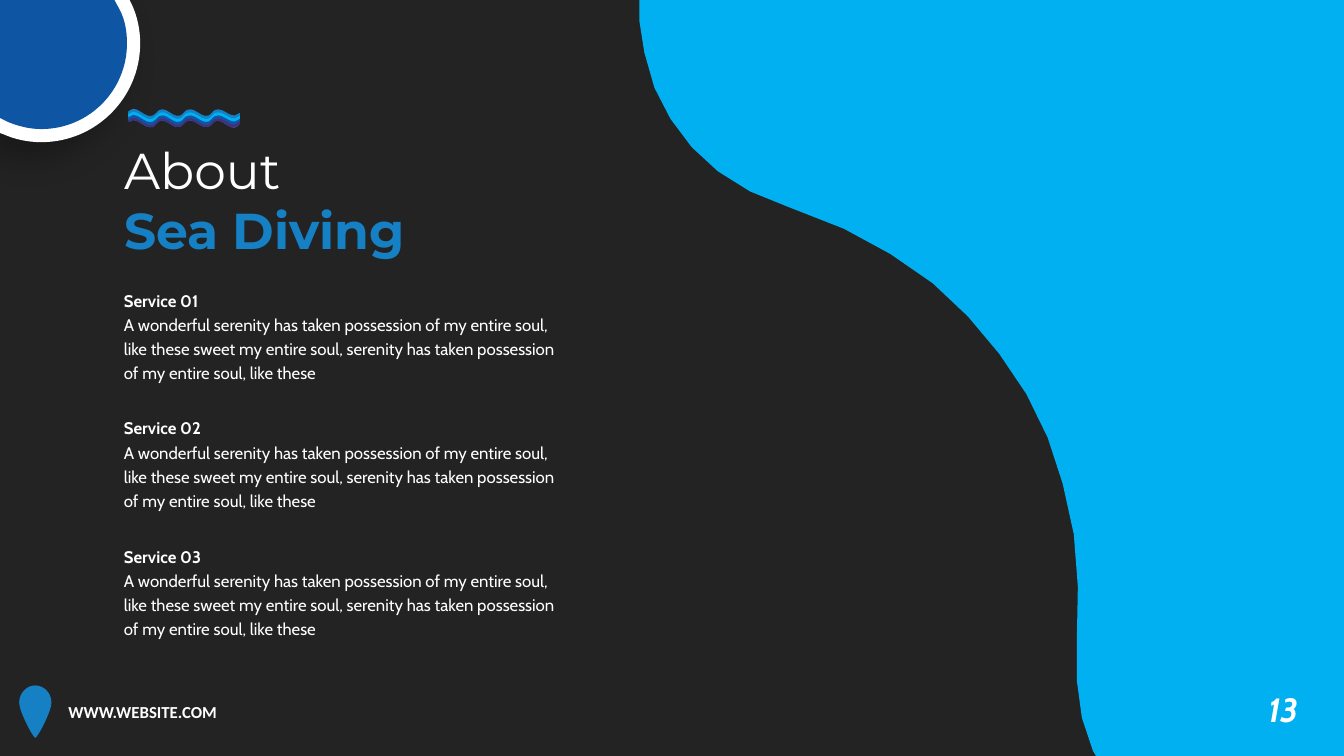
from lxml import etree
from pptx import Presentation
from pptx import util as u
from pptx.dml import color
from pptx.enum import text
from pptx.oxml import ns

PX = 9144
rgb = color.RGBColor.from_string


def outline(shapes, start, segments, fill):
    builder = shapes.build_freeform(start[0] * PX, start[1] * PX, scale=1.0)
    builder.add_line_segments([(s[-2] * PX, s[-1] * PX) for s in segments], close=True)
    shape = builder.convert_to_shape()
    left = min(p[-2] for p in [start, *segments])
    top = min(p[-1] for p in [start, *segments])
    lines = list(shape._element.iter(ns.qn("a:lnTo")))
    for line, segment in zip(lines, segments):
        if len(segment) == 6:
            line.tag = ns.qn("a:cubicBezTo")
            line.remove(line[0])
            for x, y in zip(segment[::2], segment[1::2]):
                etree.SubElement(line, ns.qn("a:pt"), x=str((x - left) * PX),
                                 y=str((y - top) * PX))
    shape.fill.solid()
    shape.fill.fore_color.rgb = rgb(fill)
    shape.line.fill.background()
    shape.shadow.inherit = False
    return shape


def write(box, place, lines, size, font, spacing=1.0):
    box.left, box.top, box.width, box.height = (n * PX for n in place)
    frame = box.text_frame
    frame.word_wrap = True
    frame.auto_size = text.MSO_AUTO_SIZE.SHAPE_TO_FIT_TEXT
    frame.vertical_anchor = text.MSO_ANCHOR.TOP
    for number, (line, bold, tint) in enumerate(lines):
        para = frame.add_paragraph() if number else frame.paragraphs[0]
        para.text = line
        para.alignment = text.PP_ALIGN.LEFT
        para.line_spacing = spacing
        para.font.size = u.Pt(size)
        para.font.name = font
        para.font.bold = bold
        para.font.color.rgb = rgb(tint)
    return frame


deck = Presentation()
deck.slide_width, deck.slide_height = u.Inches(13.33), u.Inches(7.5)
page = deck.slides.add_slide(deck.slide_layouts[5])
page.background.fill.solid()
page.background.fill.fore_color.rgb = rgb("232323")

wave_edge = [
    (634, 0), (634, 20), (639, 52), (649, 87), (665, 118), (686, 146), (712, 170),
    (744, 190), (781, 205), (786, 207), (837, 227), (883, 252), (925, 281), (960, 314),
    (991, 351), (1018, 391), (1039, 434), (1054, 480), (1065, 530), (1069, 582),
    (1068, 637), (1068, 675), (1073, 712), (1084, 745), (1087, 750), (1333, 750),
]
outline(page.shapes, (1333, 0), wave_edge, "00B0F0")

number_frame = write(page.shapes.add_textbox(0, 0, 0, 0), (1248, 679, 59, 50),
                     [("13", True, "FFFFFF")], 24, "Cabin")
number_frame.word_wrap = False
number_frame.paragraphs[0].font.italic = True

pin = [(44, 680, 51, 688, 51, 697), (51, 706, 37, 732, 35, 732),
       (33, 732, 19, 706, 19, 697), (19, 688, 26, 680, 35, 680)]
outline(page.shapes, (35, 680), pin, "1580C4")
write(page.shapes.add_textbox(0, 0, 0, 0), (58, 691, 253, 30),
      [("WWW.WEBSITE.COM", True, "FFFFFF")], 12, "Calibri")

corner = page.shapes.add_group_shape()
rim = [(0, -1), (0, 132), (3, 133), (14, 138, 27, 141, 41, 141),
       (95, 141, 139, 97, 139, 43), (139, 29, 136, 16, 131, 5)]
disc = outline(corner.shapes, (128, -1), rim, "FFFFFF")
effects = disc._element.spPr.find(ns.qn("a:effectLst"))
shadow = etree.SubElement(effects, ns.qn("a:outerShdw"), blurRad=str(u.Pt(23)),
                          dist=str(u.Pt(15)), dir="8100000", algn="tr",
                          rotWithShape="0")
black = etree.SubElement(shadow, ns.qn("a:srgbClr"), val="000000")
etree.SubElement(black, ns.qn("a:alpha"), val="29000")
core = [(0, -1), (0, 117), (8, 121), (18, 125, 29, 128, 41, 128),
        (88, 128, 126, 90, 126, 43), (126, 31, 124, 20, 119, 10)]
outline(corner.shapes, (113, -1), core, "0E55A3")

write(page.shapes.title, (113, 133, 377, 131),
      [("About", False, "FFFFFF"), ("Sea Diving", True, "1580C4")], 36, "Montserrat")

crest = [(140, 108, 147, 121, 155, 112), (164, 100, 173, 123, 182, 112),
         (192, 100, 201, 123, 210, 112), (219, 101, 228, 120, 236, 113),
         (238, 112), (238, 114)]
trough = [(236, 125), (227, 132, 219, 112, 210, 123), (201, 134, 192, 111, 182, 123),
          (173, 134, 164, 111, 155, 123), (147, 132, 140, 119, 132, 119),
          (131, 120, 129, 120, 128, 121)]
waves = page.shapes.add_group_shape()
for layer, fill in enumerate(["1580C4", "00B0F0", "0E55A3", "4A2C7B"]):
    drop = 3 * layer
    top = [tuple(n + drop * (i % 2) for i, n in enumerate(segment)) for segment in crest]
    left = [(127, 111 + drop), (128, 110 + drop)]
    outline(waves.shapes, (132, 108 + drop), top + trough + left, fill)

story = ("A wonderful serenity has taken possession of my entire soul, "
         "like these sweet my entire soul, serenity has taken possession "
         "of my entire soul, like these")
for service in range(3):
    write(page.shapes.add_textbox(0, 0, 0, 0), (113, 279 + 127 * service, 461, 105),
          [(f"Service {service + 1:02}", True, "FFFFFF"), (story, False, "FFFFFF")],
          12, "Cabin", 1.2)

deck.save("out.pptx")
